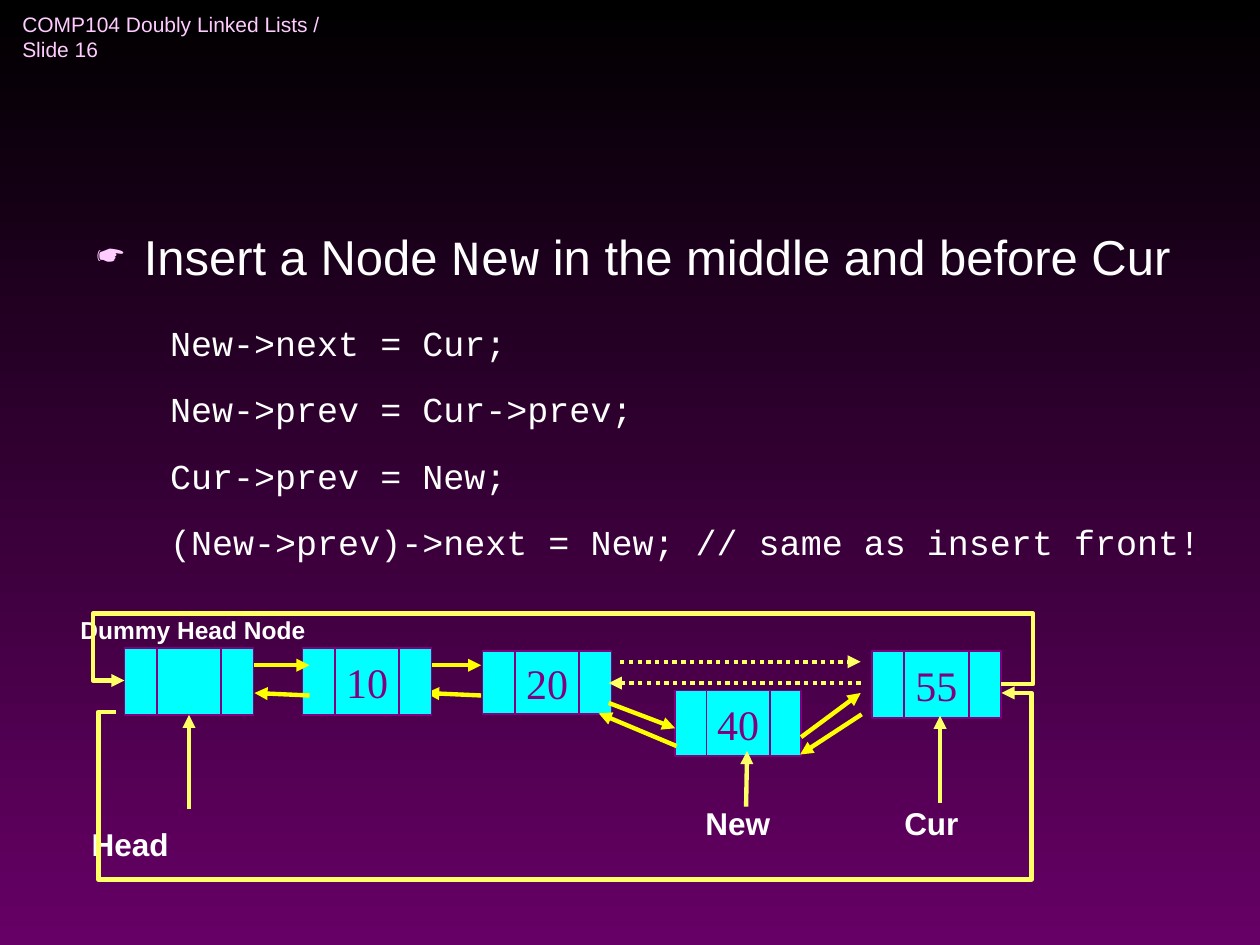
from dataclasses import dataclass

from pptx import Presentation
from pptx.dml.color import RGBColor
from pptx.enum.dml import MSO_LINE
from pptx.enum.shapes import MSO_CONNECTOR, MSO_SHAPE
from pptx.enum.text import MSO_ANCHOR, PP_ALIGN
from pptx.oxml.ns import qn
from pptx.util import Cm, Pt
from lxml import etree

STRAIGHT, ELBOW = MSO_CONNECTOR.STRAIGHT, MSO_CONNECTOR.ELBOW
RECTANGLE = MSO_SHAPE.RECTANGLE
DOTTED = MSO_LINE.ROUND_DOT
MIDDLE, CENTER = MSO_ANCHOR.MIDDLE, PP_ALIGN.CENTER
BOTTOM_SIDE = 2


@dataclass(frozen=True)
class Theme:
    top: str = "000000"
    bottom: str = "660066"
    text: str = "FFFFFF"
    accent: str = "FFCCFF"
    node: str = "00FFFF"
    edge: str = "800080"
    link: str = "FFFF00"
    pointer: str = "FFFF66"
    sans: str = "Arial"
    code: str = "Courier New"
    serif: str = "Times New Roman"
    header_size: float = 12
    body_size: float = 28
    code_size: float = 20
    code_gap: float = 14
    value_size: float = 24
    label_size: float = 18
    small_label_size: float = 14
    edge_width: float = 1
    link_width: float = 2.5


THEME = Theme()

# Content; all lengths in centimetres
HEADER = "COMP104 Doubly Linked Lists / Slide 16"
STATEMENT = [("Insert a Node ", THEME.sans), ("New", THEME.code),
             (" in the middle and before Cur", THEME.sans)]
CODE = [
    "New->next = Cur;",
    "New->prev = Cur->prev;",
    "Cur->prev = New;",
    "(New->prev)->next = New; // same as insert front!",
]
LABELS = [  # text, box, size
    ("Head", (1.6, 16.51, 3.96, 1.02), THEME.label_size),
    ("Dummy Head Node", (1.37, 12.27, 6.96, 0.86), THEME.small_label_size),
    ("Cur", (17.98, 16.08, 2.21, 1.02), THEME.label_size),
    ("New", (13.97, 16.08, 3.02, 1.02), THEME.label_size),
]
NODES = {  # value, left, top, width, height
    "cur": ("55", 17.58, 13.13, 2.6, 1.35),
    "first": ("10", 6.1, 13.06, 2.6, 1.35),
    "head": ("", 2.51, 13.06, 2.6, 1.35),
    "second": ("20", 9.73, 13.13, 2.6, 1.27),
    "new": ("40", 13.61, 13.92, 2.54, 1.32),
}
HEAD_TO_FIRST, FIRST_TO_SECOND = 5.13, 8.59  # left ends of the link pairs
PAIR_LENGTH = 1.11
NEW_LINKS = [
    ((12.27, 14.17), (13.61, 14.68)),
    ((13.64, 15.04), (12.07, 14.38)),
    ((16.15, 14.86), (17.35, 13.97)),
    ((17.37, 14.4), (16.13, 15.21)),
]
OLD_LINKS = [((12.5, 13.34), (17.35, 13.34)), ((17.35, 13.77), (12.27, 13.77))]
HEAD_POINTER = ((3.81, 16.31), (3.82, 14.41))
POINTERS = [((18.95, 16.18), (18.95, 14.43)), ((15.04, 16.26), (15.06, 15.14))]
LOOPS = [  # start, end, first x, far y, last x
    ((20.19, 13.79), (2.51, 13.72), 20.83, 12.37, 1.88),
    ((2.34, 14.35), (20.19, 13.97), 1.98, 17.73, 20.8),
]


def rgb(value):
    return RGBColor.from_string(value)


def set_font(font, size, name, color, bold=False):
    font.size, font.name, font.bold = Pt(size), name, bold
    font.color.rgb = rgb(color)


def add_text(slide, box, lines, size, name, color, bold=False, gap=0, wrap=True):
    frame = slide.shapes.add_textbox(*map(Cm, box)).text_frame
    frame.word_wrap = wrap
    for index, line in enumerate(lines):
        paragraph = frame.add_paragraph() if index else frame.paragraphs[0]
        paragraph.text = line
        if index:
            paragraph.space_before = Pt(gap)
        set_font(paragraph.font, size, name, color, bold)
    return frame


def add_statement(slide):
    frame = slide.shapes.add_textbox(Cm(1.7), Cm(4.45), Cm(22.86), Cm(11.43)).text_frame
    frame.word_wrap = True
    paragraph = frame.paragraphs[0]
    properties = paragraph._p.get_or_add_pPr()
    properties.set("marL", str(Cm(0.95)))
    properties.set("indent", str(-Cm(0.95)))
    bullet_color = etree.SubElement(properties, qn("a:buClr"))
    etree.SubElement(bullet_color, qn("a:srgbClr"), val=THEME.accent)
    etree.SubElement(properties, qn("a:buSzPct"), val="75000")
    etree.SubElement(properties, qn("a:buChar"), char="☛")
    set_font(paragraph.font, THEME.body_size, THEME.sans, THEME.text)
    for text, name in STATEMENT:
        run = paragraph.add_run()
        run.text = text
        set_font(run.font, THEME.body_size, name, THEME.text)


def add_node(slide, value, left, top, width, height):
    """Draw prev, data and next cells in the ratio 1:2:1; return the data cell."""
    group = slide.shapes.add_group_shape()
    quarter = width / 4
    cells = []
    for offset, span in ((1, 2), (0, 1), (3, 1)):
        cell = group.shapes.add_shape(RECTANGLE, Cm(left + offset * quarter), Cm(top),
                                      Cm(span * quarter), Cm(height))
        cell.shadow.inherit = False
        cell.fill.solid()
        cell.fill.fore_color.rgb = rgb(THEME.node)
        cell.line.color.rgb = rgb(THEME.edge)
        cell.line.width = Pt(THEME.edge_width)
        cells.append(cell)
    data = cells[0]
    if value:
        frame = data.text_frame
        frame.word_wrap = False
        frame.vertical_anchor = MIDDLE
        paragraph = frame.paragraphs[0]
        paragraph.text = value
        paragraph.alignment = CENTER
        set_font(paragraph.font, THEME.value_size, THEME.serif, THEME.edge)
    return data


def add_arrow(slide, start, end, color, dash=None, kind=STRAIGHT):
    arrow = slide.shapes.add_connector(kind, *map(Cm, start + end))
    arrow.line.color.rgb = rgb(color)
    arrow.line.width = Pt(THEME.link_width)
    if dash:
        arrow.line.dash_style = dash
    etree.SubElement(arrow.line._get_or_add_ln(), qn("a:tailEnd"), type="triangle")
    etree.SubElement(arrow._element.spPr, qn("a:effectLst"))
    return arrow


def add_link_pair(slide, left):
    right = left + PAIR_LENGTH
    add_arrow(slide, (left, 13.41), (right, 13.41), THEME.link)
    add_arrow(slide, (right, 14.02), (left, 13.97), THEME.link)


def add_loop(slide, start, end, first_x, far_y, last_x):
    loop = add_arrow(slide, start, end, THEME.pointer, kind=ELBOW)
    geometry = loop._element.spPr.find(qn("a:prstGeom"))
    geometry.set("prst", "bentConnector5")
    guides = geometry.find(qn("a:avLst"))
    bends = ((first_x, 0), (far_y, 1), (last_x, 0))
    for number, (position, axis) in enumerate(bends, 1):
        share = (position - start[axis]) / (end[axis] - start[axis])
        etree.SubElement(guides, qn("a:gd"), name=f"adj{number}",
                         fmla=f"val {round(share * 100000)}")


def main():
    presentation = Presentation()
    presentation.slide_width, presentation.slide_height = Cm(25.4), Cm(19.05)
    slide = presentation.slides.add_slide(presentation.slide_layouts[6])
    background = slide.background.fill
    background.gradient()
    background.gradient_angle = 270
    for stop, color in zip(background.gradient_stops, (THEME.top, THEME.bottom)):
        stop.color.rgb = rgb(color)

    # Text
    header = add_text(slide, (0.2, 0.2, 6.99, 1.07), [HEADER], THEME.header_size,
                      THEME.sans, THEME.accent, wrap=False)
    header.vertical_anchor = MIDDLE
    add_statement(slide)
    add_text(slide, (3.18, 6.35, 22.22, 4.98), CODE, THEME.code_size, THEME.code,
             THEME.text, gap=THEME.code_gap)
    for text, box, size in LABELS:
        add_text(slide, box, [text], size, THEME.sans, THEME.text, bold=True)

    # List nodes and links; the second pair runs behind the nodes
    add_link_pair(slide, FIRST_TO_SECOND)
    cells = {name: add_node(slide, *node) for name, node in NODES.items()}
    add_link_pair(slide, HEAD_TO_FIRST)
    for loop in LOOPS:
        add_loop(slide, *loop)
    for start, end in OLD_LINKS:
        add_arrow(slide, start, end, THEME.pointer, DOTTED)
    for start, end in NEW_LINKS:
        add_arrow(slide, start, end, THEME.link)

    # Named pointers
    head_arrow = add_arrow(slide, *HEAD_POINTER, THEME.pointer)
    head_arrow.end_connect(cells["head"], BOTTOM_SIDE)
    for start, end in POINTERS:
        add_arrow(slide, start, end, THEME.pointer)
    presentation.save("out.pptx")


if __name__ == "__main__":
    main()
